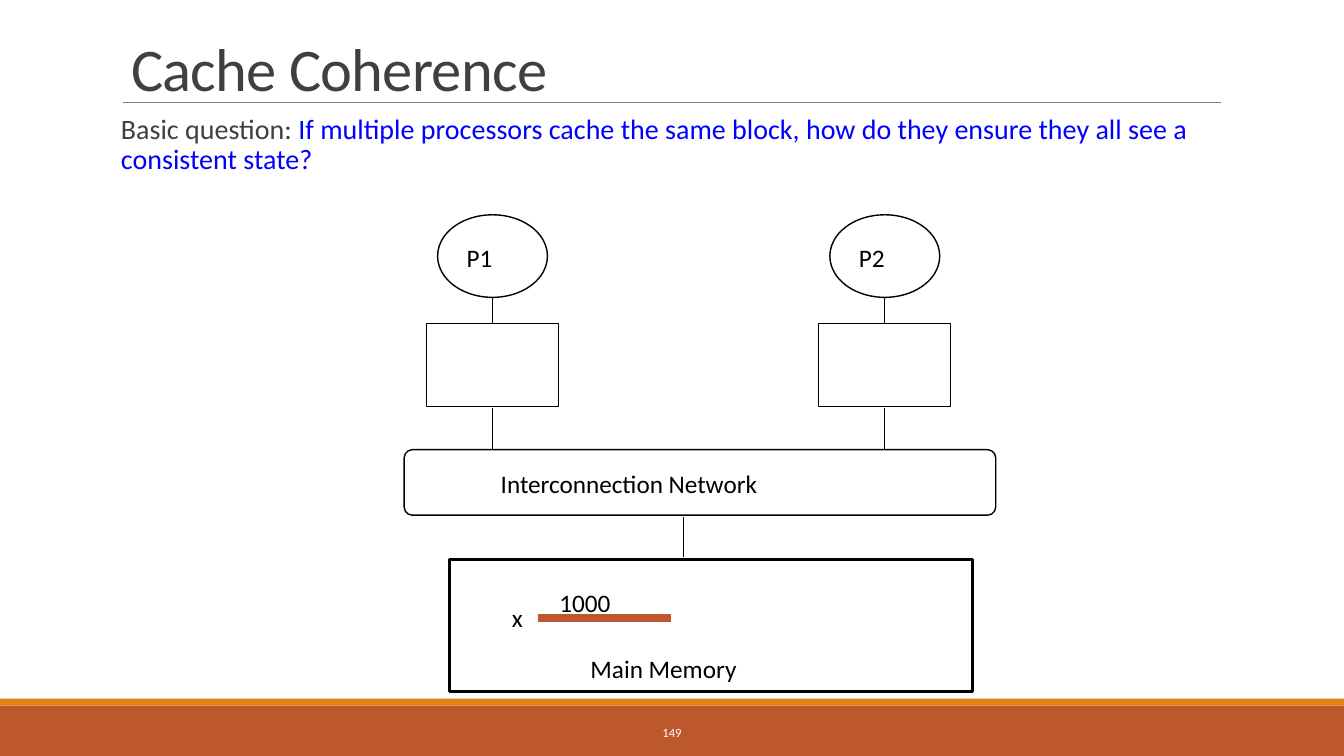
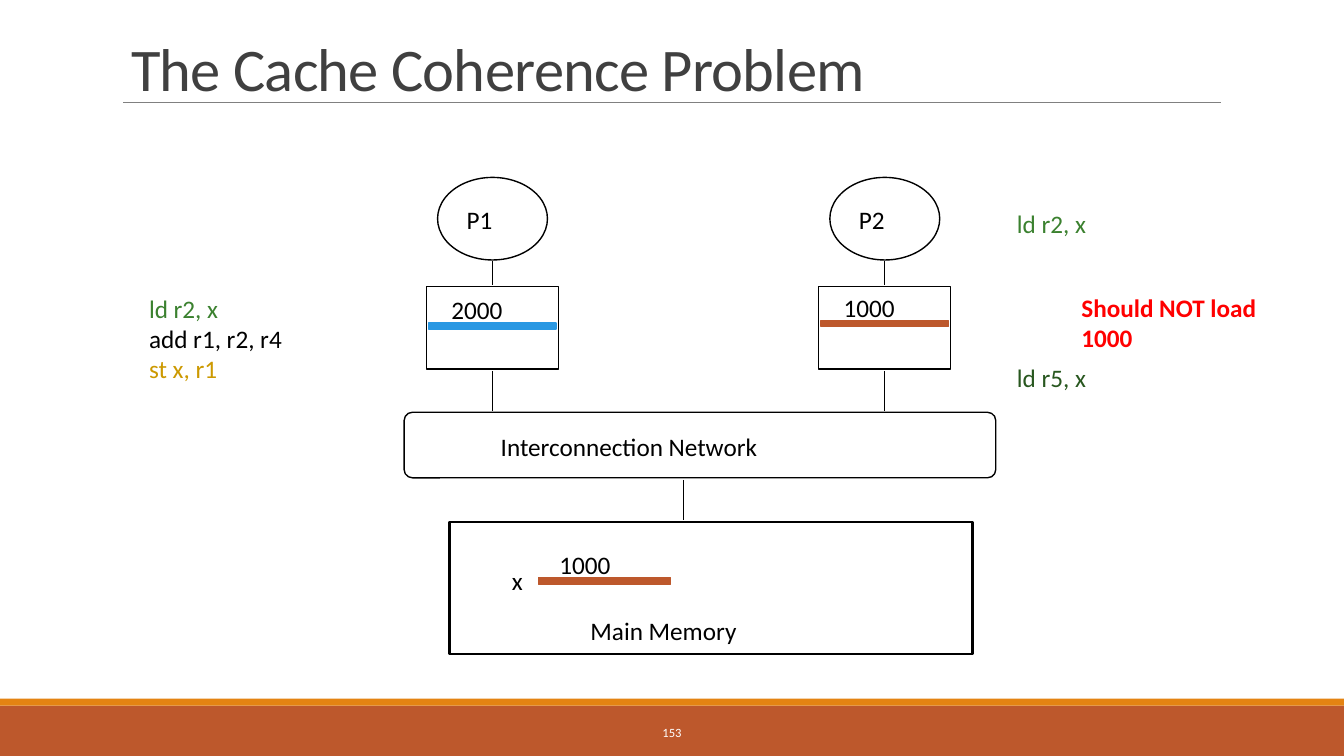
from lxml import etree
from pptx import Presentation
from pptx.dml.color import RGBColor
from pptx.enum.shapes import MSO_CONNECTOR as LINE, MSO_SHAPE as SHAPE
from pptx.enum.text import MSO_ANCHOR as ANCHOR, MSO_AUTO_SIZE as FIT, PP_ALIGN as ALIGN
from pptx.oxml.ns import qn
from pptx.util import Pt

FONT = "Calibri"
BLACK, WHITE, GREY, RULE = "000000", "FFFFFF", "404040", "808080"
RUST, ORANGE, SKY, BLUE, RED = "BD582C", "E48312", "2998E3", "0000FF", "FF0000"
GREEN, DARK_GREEN, GOLD = "3B812F", "28571F", "CC9900"
CPU_X = (351.8, 632)  # centre lines of the two processors
TITLE_AND_BODY, TITLE_ONLY = 1, 5


def rgb(value):
    return RGBColor.from_string(value)


class Deck:
    """Holds the style and the current slide; all lengths are in points."""

    def __init__(self):
        self.prs = Presentation()
        self.prs.slide_width, self.prs.slide_height = Pt(960), Pt(540)
        self.s = None

    def slide(self, title, number, layout):
        self.s = self.prs.slides.add_slide(self.prs.slide_layouts[layout])
        # Footer bands, title rule and page number
        self.shape(SHAPE.RECTANGLE, 0, 504, 960, 36, RUST)
        self.shape(SHAPE.RECTANGLE, 0, 499, 960, 5, ORANGE)
        self.line(88, 72.8, 872.5, 72.8, RULE, 0.5)
        page = self.text(290, 508.5, 380, 29, [[(number, WHITE)]], size=9, wrap=True)
        page.vertical_anchor = ANCHOR.MIDDLE
        page.paragraphs[0].alignment = ALIGN.CENTER
        # Title
        tf = self.place(self.s.shapes.title, 86.4, 22.3, 792, 55.4)
        tf.vertical_anchor = ANCHOR.BOTTOM
        p = tf.paragraphs[0]
        p.alignment, p.line_spacing = ALIGN.LEFT, 0.85
        r = self.run(p, title, GREY, 43.2)
        r.font._element.set("spc", "-50")

    def place(self, sp, x, y, w, h):
        sp.left, sp.top, sp.width, sp.height = Pt(x), Pt(y), Pt(w), Pt(h)
        tf = sp.text_frame
        tf.word_wrap, tf.auto_size = True, FIT.NONE
        return tf

    def run(self, p, text, color=BLACK, size=18, bold=False):
        r = p.add_run()
        r.text = text
        f = r.font
        f.name, f.size, f.bold = FONT, Pt(size), bold
        f.color.rgb = rgb(color)
        return r

    def body(self, runs):
        tf = self.place(self.s.placeholders[1], 79.2, 78.5, 803.5, 61.2)
        tf.margin_left = tf.margin_right = 0
        tf.vertical_anchor = ANCHOR.TOP
        p = tf.paragraphs[0]
        p.line_spacing, p.space_before, p.space_after = 0.9, Pt(0), Pt(2)
        pPr = p._p.get_or_add_pPr()
        pPr.set("marL", str(Pt(7.2)))
        pPr.set("indent", str(Pt(-7.2)))
        etree.SubElement(pPr, qn("a:buChar")).set("char", " ")
        for text, color in runs:
            self.run(p, text, color, 20)

    def shape(self, kind, x, y, w, h, fill=WHITE, line=None, width=1):
        sp = self.s.shapes.add_shape(kind, Pt(x), Pt(y), Pt(w), Pt(h))
        sp.shadow.inherit = False
        sp.fill.solid()
        sp.fill.fore_color.rgb = rgb(fill)
        if line:
            sp.line.color.rgb = rgb(line)
            sp.line.width = Pt(width)
        else:
            sp.line.fill.background()
        return sp

    def line(self, x1, y1, x2, y2, color=BLACK, width=1):
        cn = self.s.shapes.add_connector(LINE.STRAIGHT, Pt(x1), Pt(y1), Pt(x2), Pt(y2))
        cn.line.color.rgb = rgb(color)
        cn.line.width = Pt(width)
        etree.SubElement(cn._element.spPr, qn("a:effectLst"))

    def text(self, x, y, w, h, paragraphs, size=18, bold=False, wrap=False):
        tf = self.s.shapes.add_textbox(Pt(x), Pt(y), Pt(w), Pt(h)).text_frame
        tf.word_wrap = wrap
        for i, runs in enumerate(paragraphs):
            p = tf.add_paragraph() if i else tf.paragraphs[0]
            for text, color in runs:
                self.run(p, text, color, size, bold)
        return tf

    def label(self, x, y, w, text, color=BLACK):
        self.text(x, y, w, 29, [[(text, color)]])

    def bar(self, x, y, w, h, color):
        self.shape(SHAPE.RECTANGLE, x, y, w, h, color, color)

    def diagram(self, top):
        # Processors with their caches
        for name, cx in zip(("P1", "P2"), CPU_X):
            self.shape(SHAPE.OVAL, cx - 39.25, top, 78.5, 59, line=BLACK)
            self.shape(SHAPE.RECTANGLE, cx - 47.15, top + 77.8, 94.3, 59, line=BLACK)
            self.line(cx, top + 59.8, cx, top + 77)
            self.line(cx, top + 138.2, cx, top + 167)
            self.label(cx - 25.6, top + 15.8, 33.1, name)
        # Interconnection network
        net = self.shape(SHAPE.ROUNDED_RECTANGLE, 288.7, top + 167.8, 422.6, 46.8, line=BLACK)
        net.adjustments[0] = 0.125
        self.label(350.6, top + 177.8, 199.4, "Interconnection Network")
        self.line(488.2, top + 216, 488.2, top + 244.8)
        # Main memory holding x
        self.shape(SHAPE.RECTANGLE, 321.1, top + 246.2, 373.7, 94.3, line=BLACK, width=2)
        self.bar(384.5, top + 285.8, 94.3, 5, RUST)
        self.label(358.6, top + 273.6, 22.3, "x")
        self.label(392.4, top + 262.3, 51.1, "1000")
        self.label(414.7, top + 309.6, 119.5, "Main Memory")

    def cached(self, cx, top, value, color):
        self.bar(cx - 45.5, top + 24, 91, 4.3, color)
        self.label(cx - 36.5, top, 51.1, value)


def main():
    deck = Deck()

    # The question
    deck.slide("Cache Coherence", "149", TITLE_AND_BODY)
    deck.body([
        ("Basic question: ", GREY),
        ("If multiple processors cache the same block, "
         "how do they ensure they all see a consistent state?", BLUE),
    ])
    deck.diagram(153.4)

    # The problem: two caches disagree on x
    deck.slide("The Cache Coherence Problem", "153", TITLE_ONLY)
    deck.diagram(126.7)
    deck.cached(CPU_X[0], 206.8, "2000", SKY)
    deck.cached(CPU_X[1], 205.1, "1000", RUST)
    deck.text(99.4, 205.9, 110.2, 72.7, [
        [("ld r2, x", GREEN)], [("add r1, r2, r4", BLACK)], [("st x, r1", GOLD)]])
    deck.label(719.3, 145.4, 64.1, "ld r2, x", GREEN)
    deck.label(719.3, 254.9, 64.8, "ld r5, x", DARK_GREEN)
    deck.text(765.4, 205.2, 170.6, 51, [[("Should NOT load 1000", RED)]], bold=True, wrap=True)

    deck.prs.save("out.pptx")


if __name__ == "__main__":
    main()
